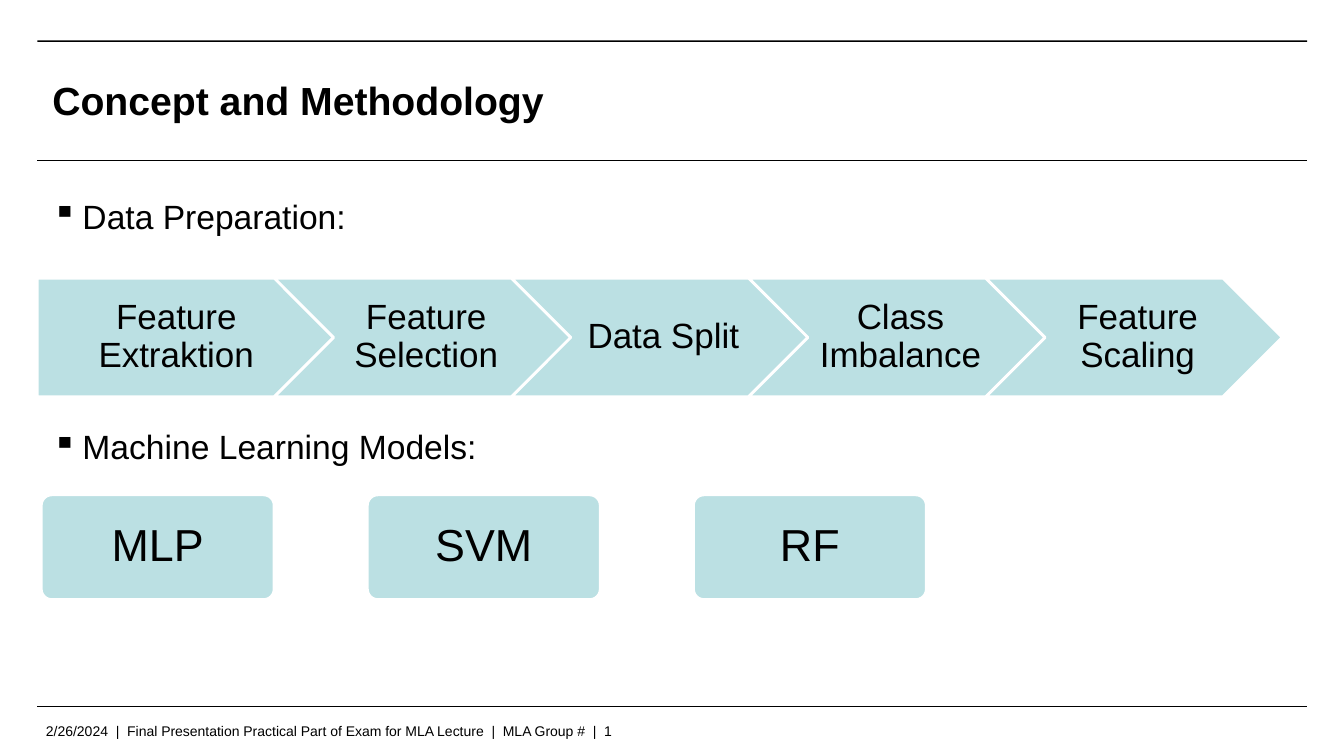
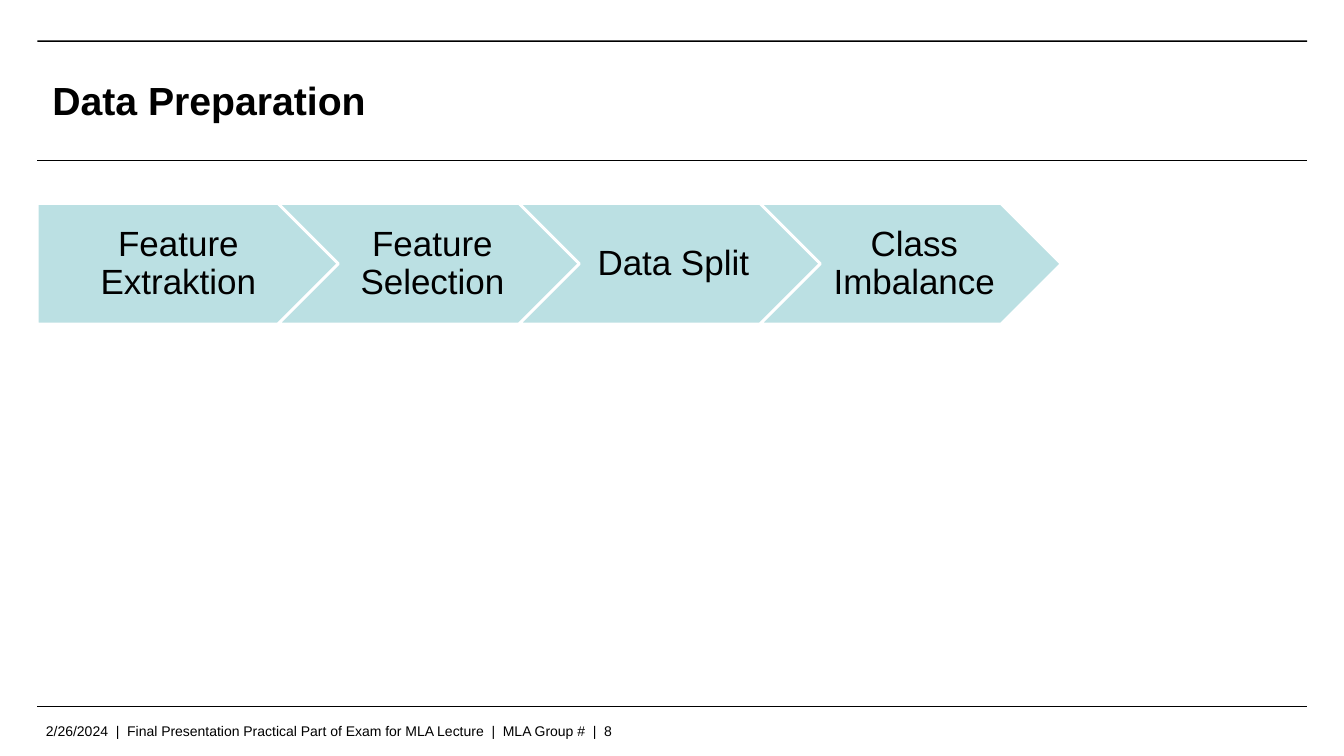
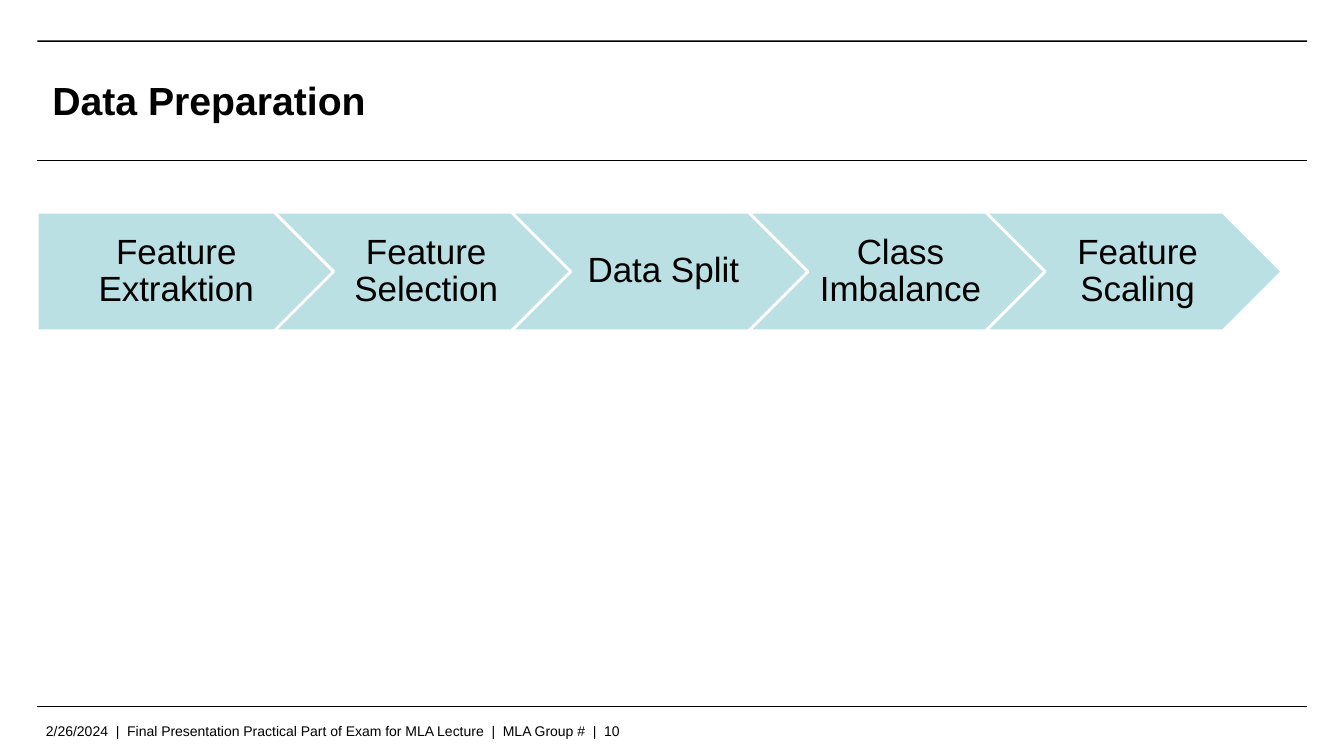
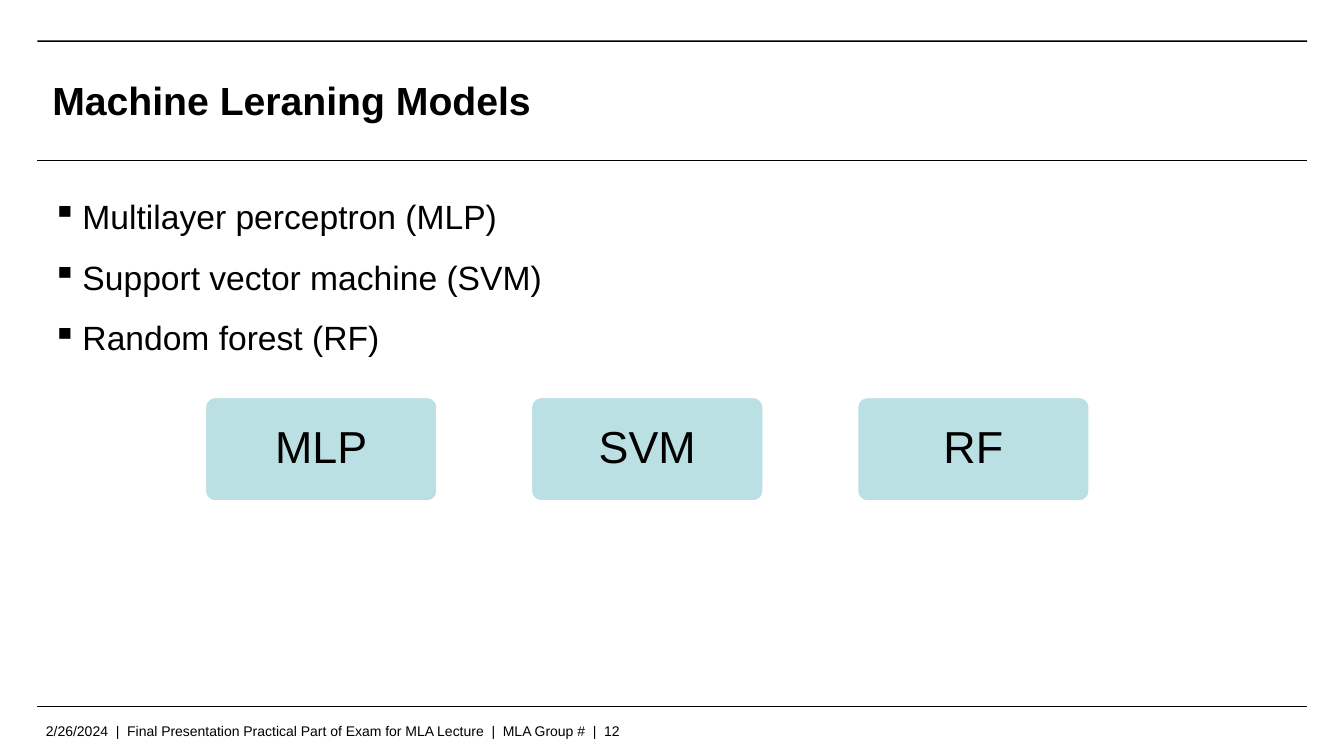
from dataclasses import dataclass

from lxml.etree import SubElement
from pptx import Presentation
from pptx.dml.color import RGBColor
from pptx.enum.shapes import MSO_CONNECTOR, MSO_SHAPE
from pptx.enum.text import MSO_ANCHOR, PP_ALIGN
from pptx.oxml.ns import qn
from pptx.util import Cm, Pt


@dataclass(frozen=True)
class Theme:
    font: str = "Arial"
    ink: RGBColor = RGBColor(0x00, 0x00, 0x00)
    paper: RGBColor = RGBColor(0xFF, 0xFF, 0xFF)
    accent: RGBColor = RGBColor(0xBB, 0xE0, 0xE3)
    title_size: float = 28
    bullet_size: float = 24
    step_size: float = 25
    model_size: float = 32
    footer_size: float = 10
    left: float = 0.94
    right: float = 32.94
    text_left: float = 1.32


THEME = Theme()
FOOTER = "2/26/2024  |  Final Presentation Practical Part of Exam for MLA Lecture  |  MLA Group #  |  "
STEPS = ["Feature Extraktion", "Feature Selection", "Data Split", "Class Imbalance", "Feature Scaling"]
MODELS = ["MLP", "SVM", "RF"]


# Text
def write(shape, *lines, size, bold=False, align=PP_ALIGN.LEFT, anchor=MSO_ANCHOR.TOP,
          insets=(0, 0, 0, 0), line_spacing=1.0, before=0, after=0, bullet=None):
    """Fill a shape with one paragraph per line; insets run left, top, right, bottom in cm."""
    frame = shape.text_frame
    frame.word_wrap = True
    frame.vertical_anchor = anchor
    frame.margin_left, frame.margin_top, frame.margin_right, frame.margin_bottom = map(Cm, insets)
    for index, line in enumerate(lines):
        paragraph = frame.add_paragraph() if index else frame.paragraphs[0]
        paragraph.alignment = align
        paragraph.line_spacing = line_spacing
        paragraph.space_before, paragraph.space_after = Pt(before), Pt(after)
        run = paragraph.add_run()
        run.text = line
        run.font.name, run.font.size, run.font.bold = THEME.font, Pt(size), bold
        run.font.color.rgb = THEME.ink
        if bullet:
            add_bullet(paragraph, bullet)


def add_bullet(paragraph, character, indent=0.76):
    properties = paragraph._p.get_or_add_pPr()
    properties.set("marL", str(Cm(indent)))
    properties.set("indent", str(-Cm(indent)))
    SubElement(properties, qn("a:buChar")).set("char", character)


def add_text(slide, left, top, width, height, *lines, **text_format):
    box = slide.shapes.add_textbox(Cm(left), Cm(top), Cm(width), Cm(height))
    write(box, *lines, **text_format)


def add_bullets(slide, top, height, *lines):
    add_text(slide, THEME.text_left, top, 16.76, height, *lines, size=THEME.bullet_size,
             insets=(0, 0.13, 0, 0.13), line_spacing=1.3, before=2, after=4, bullet="▪")


# Shapes and lines
def add_block(slide, kind, left, top, width, height, fill, outline=None):
    shape = slide.shapes.add_shape(kind, Cm(left), Cm(top), Cm(width), Cm(height))
    shape.shadow.inherit = False
    shape.fill.solid()
    shape.fill.fore_color.rgb = fill
    if outline is None:
        shape.line.fill.background()
    else:
        shape.line.color.rgb = outline
        shape.line.width = Pt(2)
    return shape


def add_rule(slide, top):
    rule = slide.shapes.add_connector(
        MSO_CONNECTOR.STRAIGHT, Cm(THEME.left), Cm(top), Cm(THEME.right), Cm(top))
    rule.line.color.rgb = THEME.ink
    rule.line.width = Pt(0.6)
    SubElement(rule._element.spPr, qn("a:effectLst"))


# Diagrams
def add_process(slide, top, steps, width):
    """Row of interlocking arrows; each overlaps the next by a fifth of its width."""
    for index, step in enumerate(steps):
        kind = MSO_SHAPE.CHEVRON if index else MSO_SHAPE.PENTAGON
        shape = add_block(slide, kind, THEME.left + index * 0.8 * width, top, width, 0.4 * width,
                          THEME.accent, THEME.paper)
        insets = (0.23, 0.18, 0.05, 0.18) if index else (0.38, 0.18, 0.1, 0.18)
        write(shape, step, size=THEME.step_size, align=PP_ALIGN.CENTER,
              anchor=MSO_ANCHOR.MIDDLE, insets=insets, line_spacing=0.9)


def add_models(slide, left, top, width=5.87, height=2.64):
    """Row of rounded boxes, separated by 40 % of their width."""
    for index, model in enumerate(MODELS):
        shape = add_block(slide, MSO_SHAPE.ROUNDED_RECTANGLE, left + index * 1.4 * width, top,
                          width, height, THEME.accent, THEME.paper)
        shape.adjustments[0] = 0.1
        write(shape, model, size=THEME.model_size, align=PP_ALIGN.CENTER,
              anchor=MSO_ANCHOR.MIDDLE, insets=(0.33,) * 4, line_spacing=0.9)


# Frame shared by all slides
def add_slide(presentation, title, number):
    slide = presentation.slides.add_slide(presentation.slide_layouts[6])
    add_rule(slide, 4.04)
    add_block(slide, MSO_SHAPE.RECTANGLE, THEME.left, 1.02, THEME.right - THEME.left, 0.04, THEME.ink)
    add_rule(slide, 17.81)
    add_text(slide, 0.91, 18.08, 28.52, 0.64, f"{FOOTER}{number}", size=THEME.footer_size,
             insets=(0.25, 0.13, 0.25, 0.13))
    add_text(slide, THEME.text_left, 1.35, 26.59, 2.34, title, size=THEME.title_size,
             bold=True, anchor=MSO_ANCHOR.MIDDLE)
    return slide


def main():
    presentation = Presentation()
    presentation.slide_width, presentation.slide_height = Cm(33.87), Cm(19.05)

    # Overview
    slide = add_slide(presentation, "Concept and Methodology", 1)
    add_bullets(slide, 4.5, 1.9, "Data Preparation:")
    add_process(slide, 7.01, STEPS, 7.47)
    add_bullets(slide, 10.31, 1.9, "Machine Learning Models:")
    add_models(slide, 1.04, 12.47)

    # Preparation up to class imbalance
    slide = add_slide(presentation, "Data Preparation", 8)
    add_process(slide, 5.13, STEPS[:4], 7.59)

    # Preparation with scaling
    slide = add_slide(presentation, "Data Preparation", 10)
    add_process(slide, 5.35, STEPS, 7.47)

    # Models
    slide = add_slide(presentation, "Machine Leraning Models", 12)
    add_bullets(slide, 4.5, 5.03, "Multilayer perceptron (MLP)", "Support vector machine (SVM)",
                "Random forest (RF)")
    add_models(slide, 5.16, 10.0)

    presentation.save("out.pptx")


if __name__ == "__main__":
    main()
